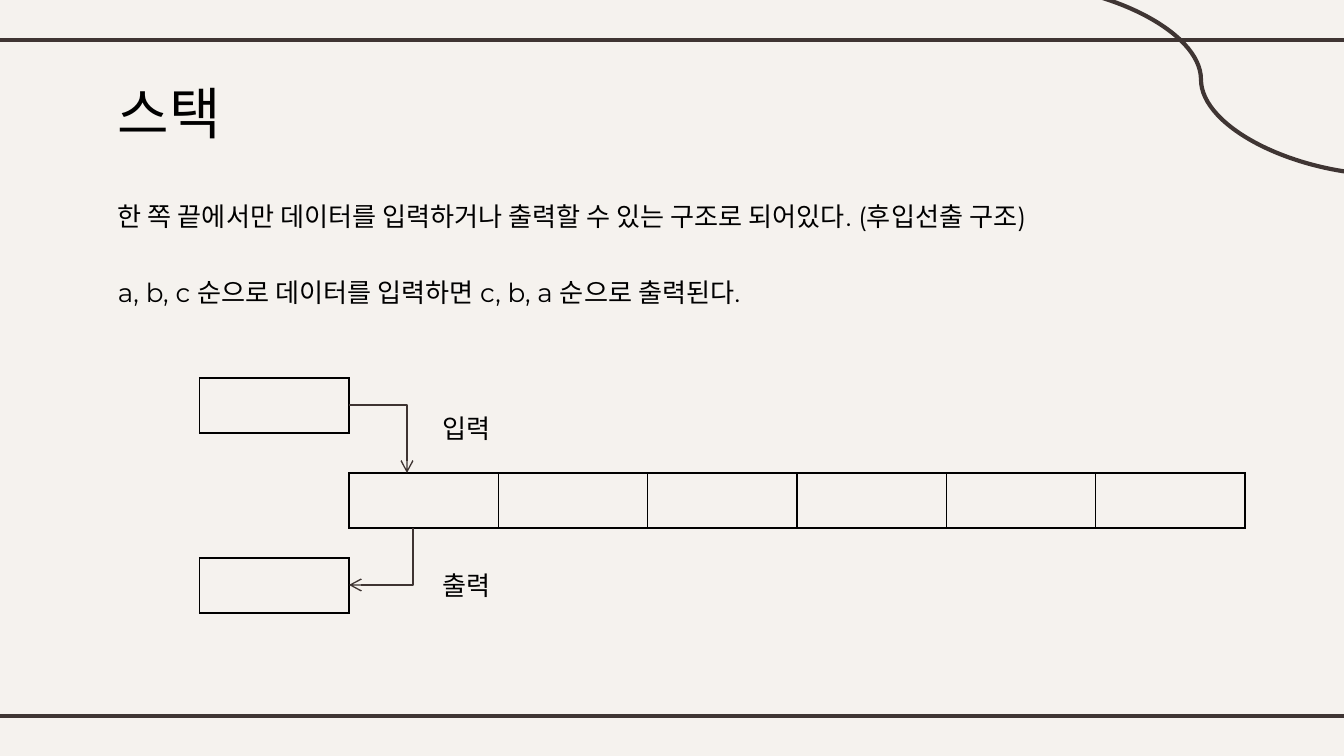
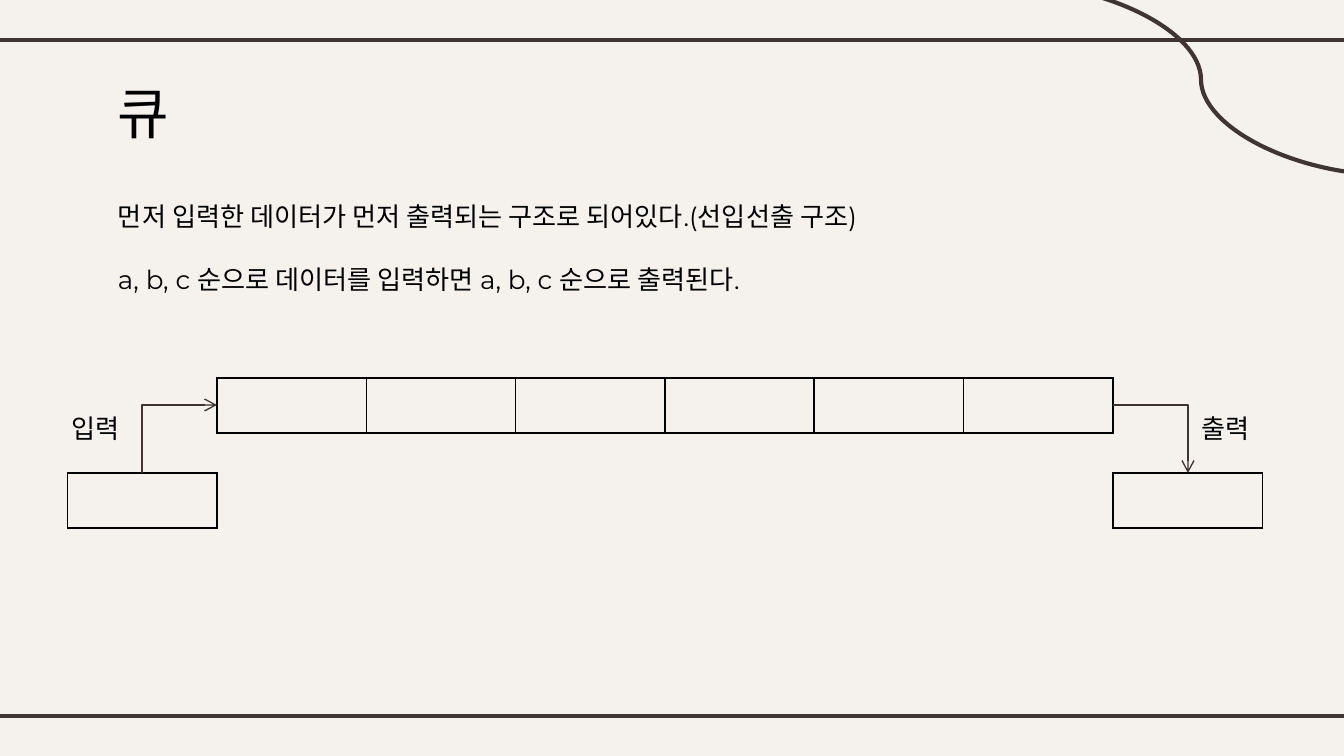
from lxml.etree import SubElement
from pptx import Presentation
from pptx.dml.color import RGBColor
from pptx.enum.shapes import MSO_CONNECTOR as Connector
from pptx.enum.text import MSO_ANCHOR as Anchor, MSO_AUTO_SIZE as AutoSize, PP_ALIGN as Align
from pptx.oxml.ns import qn
from pptx.util import Emu, Pt

COLORS = {"background": "F5F2EE", "band": "3F3533", "arrow": "3E3432", "ink": "000000"}

# Lengths are px; "start" and "end" name the arrowhead's side of a connector.
ROW_TOP = {"upper": 378, "middle": 473, "lower": 558}
CELL_HEIGHT = 55
ARRAY_CELLS = 6
ARRAY_WIDTH = 896
CELL_WIDTH = ARRAY_WIDTH / ARRAY_CELLS
LABEL_SIZE = (85, 44)
TITLE_BOX = (105, 66, 692, 85)
BODY_BOX = (105, 187, 1134, 484)
BANDS = [
    (Connector.STRAIGHT, (-11, 40), (1355, 40)),
    (Connector.STRAIGHT, (-11, 716), (1355, 716)),
    (Connector.CURVE, (1012, -16), (1390, 175)),
]

# Boxes count cells from the left edge of the array.
SLIDES = [
    {
        "title": "스택",
        "body": [
            "한 쪽 끝에서만 데이터를 입력하거나 출력할 수 있는 구조로 되어있다. (후입선출 구조)",
            "a, b, c 순으로 데이터를 입력하면 c, b, a 순으로 출력된다.",
        ],
        "spacing": 12,
        "array": (349, "middle"),
        "boxes": [(-1, "lower"), (-1, "upper")],
        "arrows": [((349, 405), (407, 473), "end"), ((349, 585), (413, 528), "start")],
        "labels": [("입력", 429, 406), ("출력", 429, 563)],
    },
    {
        "title": "큐",
        "body": [
            "먼저 입력한 데이터가 먼저 출력되는 구조로 되어있다.(선입선출 구조)",
            "a, b, c 순으로 데이터를 입력하면 a, b, c 순으로 출력된다.",
        ],
        "spacing": 8.5,
        "array": (217, "upper"),
        "boxes": [(ARRAY_CELLS, "middle"), (-1, "middle")],
        "arrows": [((217, 405), (142, 473), "start"), ((1113, 405), (1188, 473), "end")],
        "labels": [("입력", 58, 406), ("출력", 1188, 406)],
    },
]


def px(length):
    return Emu(round(length * 914400 / 134.4))


def color(name):
    return RGBColor.from_string(COLORS[name])


def place(shape, box):
    shape.left, shape.top, shape.width, shape.height = map(px, box)


def write(shape, lines, font, size, spacing=0, inset=None, auto_size=AutoSize.NONE):
    """Fill a shape with left-aligned, unbulleted paragraphs."""
    frame = shape.text_frame
    frame.word_wrap = True
    frame.auto_size = auto_size
    frame.vertical_anchor = Anchor.TOP
    if inset is not None:
        frame.margin_left = frame.margin_right = px(inset)
        frame.margin_top = frame.margin_bottom = px(inset)
    for index, line in enumerate(lines):
        paragraph = frame.add_paragraph() if index else frame.paragraphs[0]
        paragraph.alignment = Align.LEFT
        paragraph.line_spacing = 1.0
        paragraph.space_before = paragraph.space_after = Pt(spacing)
        properties = paragraph._p.get_or_add_pPr()
        properties.set("marL", "0")
        properties.set("indent", "0")
        SubElement(properties, qn("a:buNone"))
        run = paragraph.add_run()
        run.text = line
        run.font.name = font
        run.font.size = Pt(size)
        run.font.color.rgb = color("ink")


def add_line(slide, kind, start, end, color_name, width):
    line = slide.shapes.add_connector(kind, *map(px, start + end))
    line.line.color.rgb = color(color_name)
    line.line.width = Pt(width)
    SubElement(line.element.spPr, qn("a:effectLst"))
    return line


def add_arrow(slide, start, end, head):
    """Draw a one-corner arrow whose leg at the start is horizontal."""
    arrow = add_line(slide, Connector.ELBOW, start, end, "arrow", 0.75)
    properties = arrow.element.spPr
    properties.find(qn("a:prstGeom")).set("prst", "bentConnector2")
    tag = "a:headEnd" if head == "start" else "a:tailEnd"
    SubElement(properties.find(qn("a:ln")), qn(tag), type="arrow", w="med", len="med")


def add_cells(slide, left, row, count=1):
    box = (left, ROW_TOP[row], CELL_WIDTH * count, CELL_HEIGHT)
    table = slide.shapes.add_table(1, count, *map(px, box)).table
    table.first_row = table.horz_banding = False
    for cell in table.iter_cells():
        properties = cell._tc.get_or_add_tcPr()
        for side in "LRTB":
            border = SubElement(properties, qn(f"a:ln{side}"), w=str(Pt(1)))
            fill = SubElement(border, qn("a:solidFill"))
            SubElement(fill, qn("a:srgbClr"), val=COLORS["ink"])
        cell.fill.solid()
        cell.fill.fore_color.rgb = color("background")


def style_layout(layout, slide):
    """Give the layout its background, boxes and bands; the slide only hosts the drawing."""
    layout.background.fill.solid()
    layout.background.fill.fore_color.rgb = color("background")
    for placeholder, box in zip(layout.placeholders, (TITLE_BOX, BODY_BOX)):
        place(placeholder, box)
    for number, (kind, start, end) in enumerate(BANDS, 101):
        band = add_line(slide, kind, start, end, "band", 2.25)
        band.element.nvCxnSpPr.cNvPr.set("id", str(number))
        layout.shapes.element.append(band.element)


def fill_slide(slide, content):
    title, body = slide.placeholders
    write(title, [content["title"]], "Roboto", 30, inset=13)
    write(body, content["body"], "Montserrat", 14, spacing=content["spacing"], inset=13)
    left, row = content["array"]
    add_cells(slide, left, row, ARRAY_CELLS)
    for offset, box_row in content["boxes"]:
        add_cells(slide, left + offset * CELL_WIDTH, box_row)
    for start, end, head in content["arrows"]:
        add_arrow(slide, start, end, head)
    for text, label_left, label_top in content["labels"]:
        label = slide.shapes.add_textbox(*map(px, (label_left, label_top, *LABEL_SIZE)))
        write(label, [text], "Arial", 14, auto_size=AutoSize.SHAPE_TO_FIT_TEXT)


def main():
    presentation = Presentation()
    presentation.slide_width, presentation.slide_height = px(1344), px(756)
    layout = presentation.slide_layouts[1]
    slides = [presentation.slides.add_slide(layout) for _ in SLIDES]
    style_layout(layout, slides[0])
    for slide, content in zip(slides, SLIDES):
        fill_slide(slide, content)
    presentation.save("out.pptx")


if __name__ == "__main__":
    main()
